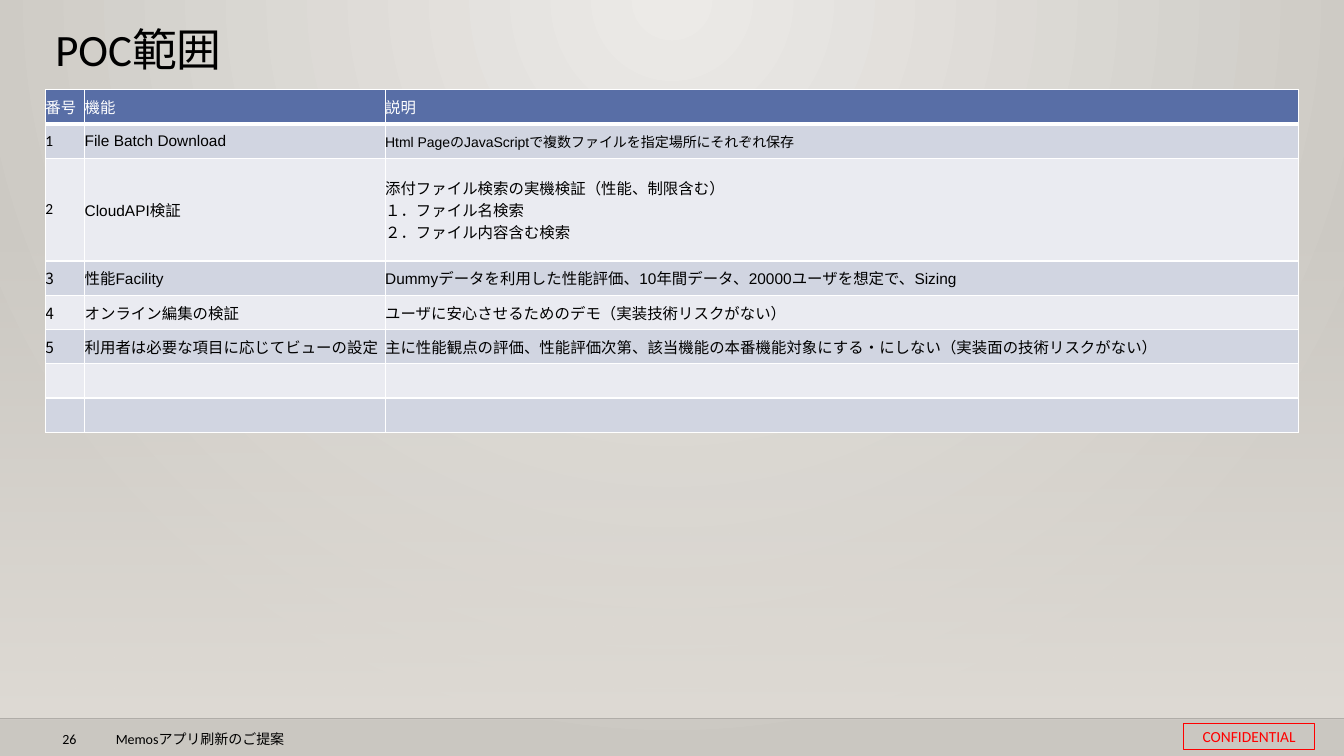
from lxml import etree
from pptx import Presentation
from pptx.dml.color import RGBColor
from pptx.enum.shapes import MSO_CONNECTOR, MSO_SHAPE
from pptx.enum.text import MSO_ANCHOR, PP_ALIGN
from pptx.oxml.ns import qn
from pptx.util import Inches, Pt

RECT, LINE = MSO_SHAPE.RECTANGLE, MSO_CONNECTOR.STRAIGHT
TOP, MID = MSO_ANCHOR.TOP, MSO_ANCHOR.MIDDLE
LEFT, MIDDLE = PP_ALIGN.LEFT, PP_ALIGN.CENTER
BLACK = RGBColor(0, 0, 0)
WHITE = RGBColor(0xFF, 0xFF, 0xFF)
RED = RGBColor(0xFF, 0, 0)
BLUE = RGBColor(0x58, 0x6E, 0xA6)
BANDS = (RGBColor(0xD1, 0xD5, 0xE1), RGBColor(0xEA, 0xEB, 0xF1))
PALE = RGBColor(0xEC, 0xEA, 0xE7)
STONE = RGBColor(0xCA, 0xC7, 0xC1)
SAND = RGBColor(0xDF, 0xDB, 0xD5)
SANS, ARIAL, CJK = "Calibri", "Arial", "Noto Sans CJK JP"

# Content
TITLE = "POC範囲"
PAGE = "26"
FOOTER = "Memosアプリ刷新のご提案"
MARK = "CONFIDENTIAL"
HEAD = ("番号", "機能", "説明")
ROWS = [
    ("1", "File Batch Download",
     "Html PageのJavaScriptで複数ファイルを指定場所にそれぞれ保存"),
    ("2", "CloudAPI検証",
     "添付ファイル検索の実機検証（性能、制限含む）\n"
     "１．ファイル名検索\n２．ファイル内容含む検索"),
    ("3", "性能Facility",
     "Dummyデータを利用した性能評価、10年間データ、20000ユーザを想定で、Sizing"),
    ("4", "オンライン編集の検証",
     "ユーザに安心させるためのデモ（実装技術リスクがない）"),
    ("5", "利用者は必要な項目に応じてビューの設定",
     "主に性能観点の評価、性能評価次第、該当機能の本番機能対象にする・にしない"
     "（実装面の技術リスクがない）"),
    ("", "", ""),
    ("", "", ""),
]
FONTS = [(SANS,) * 3] + [(SANS, ARIAL, ARIAL)] * 2 + [
    (CJK, ARIAL, ARIAL)] + [(CJK, SANS, ARIAL)] * 4
WIDTHS = (0.39, 2.98, 9.06)
ROW = 0.34
TALL = 2  # row with three lines of text


def put(frame, text, size=11, font=SANS, color=BLACK, align=LEFT, lead=None):
    for i, line in enumerate(text.split("\n")):
        para = frame.add_paragraph() if i else frame.paragraphs[0]
        para.alignment = align
        if lead:
            para.line_spacing = lead
        if not line:
            para.font.size = Pt(size)
            continue
        run = para.add_run()
        run.text = line
        run.font.size = Pt(size)
        run.font.name = font
        run.font.bold = False
        run.font.color.rgb = color
        east = etree.SubElement(run._r.get_or_add_rPr(), qn("a:ea"))
        east.set("typeface", CJK)


def box(at, text, top=0.05, **style):
    frame = slide.shapes.add_textbox(*map(Inches, at)).text_frame
    frame.word_wrap = True
    frame.margin_top = Inches(top)
    frame.vertical_anchor = TOP
    put(frame, text, **style)


def stops(fill, colors):
    fill.gradient()
    for stop, color in zip(fill.gradient_stops, colors):
        stop.color.rgb = color
    return fill


def fade(node, percent):
    for color in node.iter(qn("a:srgbClr")):
        etree.SubElement(color, qn("a:alpha")).set("val", str(percent * 1000))
        break


def edge(cell, side, width):
    line = etree.SubElement(cell._tc.get_or_add_tcPr(), qn("a:ln" + side))
    line.set("w", str(Pt(width)))
    fill = etree.SubElement(line, qn("a:solidFill"))
    etree.SubElement(fill, qn("a:srgbClr")).set("val", str(WHITE))


deck = Presentation()
deck.slide_width, deck.slide_height = Inches(13.33), Inches(7.5)
slide = deck.slides.add_slide(deck.slide_layouts[6])

# Background: glow from the top centre
stops(slide.background.fill, (PALE, STONE))
grad = next(slide.background._cSld.iter(qn("a:gradFill")))
grad.remove(grad.find(qn("a:lin")))
glow = etree.SubElement(grad, qn("a:path"))
glow.set("path", "circle")
focus = etree.SubElement(glow, qn("a:fillToRect"))
for side, percent in zip("ltrb", (43, 0, 43, 100)):
    focus.set(side, str(percent * 1000))

# Veil that grows denser downwards
veil = slide.shapes.add_shape(RECT, *map(Inches, (0, 2.21, 13.33, 4.93)))
veil.shadow.inherit = False
veil.line.fill.background()
stops(veil.fill, (SAND, SAND)).gradient_angle = 270
fade(veil._element.spPr, 0)

# Footer
rule = slide.shapes.add_connector(LINE, *map(Inches, (0, 7.13, 13.33, 7.13)))
rule.line.color.rgb = BLACK
rule.line.width = Pt(1)
fade(rule._element.spPr, 20)
etree.SubElement(rule._element.spPr, qn("a:effectLst"))
box((0.52, 7.2, 0.4, 0.19), PAGE, size=10)
box((1.05, 7.2, 5.67, 0.19), FOOTER, size=10)

stamp = slide.shapes.add_shape(RECT, *map(Inches, (11.74, 7.18, 1.3, 0.26)))
stamp.shadow.inherit = False
stamp.fill.background()
stamp.line.color.rgb = RED
stamp.line.width = Pt(0.75)
frame = stamp.text_frame
frame.margin_left = frame.margin_right = Inches(0.04)
frame.margin_top = frame.margin_bottom = Inches(0.04)
frame.vertical_anchor = MID
put(frame, MARK, color=RED, align=MIDDLE)

# Title
box((0.45, 0.28, 10.2, 0.75), TITLE, top=0, size=32, lead=0.9)

# Table
cells = [HEAD] + ROWS
table = slide.shapes.add_table(
    len(cells), len(HEAD), Inches(0.45), Inches(0.89),
    Inches(sum(WIDTHS)), Inches(ROW * (len(cells) + 2))).table
for col, width in zip(table.columns, WIDTHS):
    col.width = Inches(width)
for r, (texts, fonts) in enumerate(zip(cells, FONTS)):
    table.rows[r].height = Inches(ROW * (3 if r == TALL else 1))
    for c, (text, font) in enumerate(zip(texts, fonts)):
        cell = table.cell(r, c)
        cell.margin_left = cell.margin_right = 0
        cell.margin_top = cell.margin_bottom = 0
        cell.vertical_anchor = MID
        for side in "LRTB":
            thick = (r, side) in ((0, "B"), (1, "T"))
            edge(cell, side, 3 if thick else 1)
        cell.fill.solid()
        cell.fill.fore_color.rgb = BANDS[(r - 1) % 2] if r else BLUE
        put(cell.text_frame, text, size=10 if (r, c) == (1, 2) else 11,
            font=font, color=BLACK if r else WHITE)

deck.save("out.pptx")
